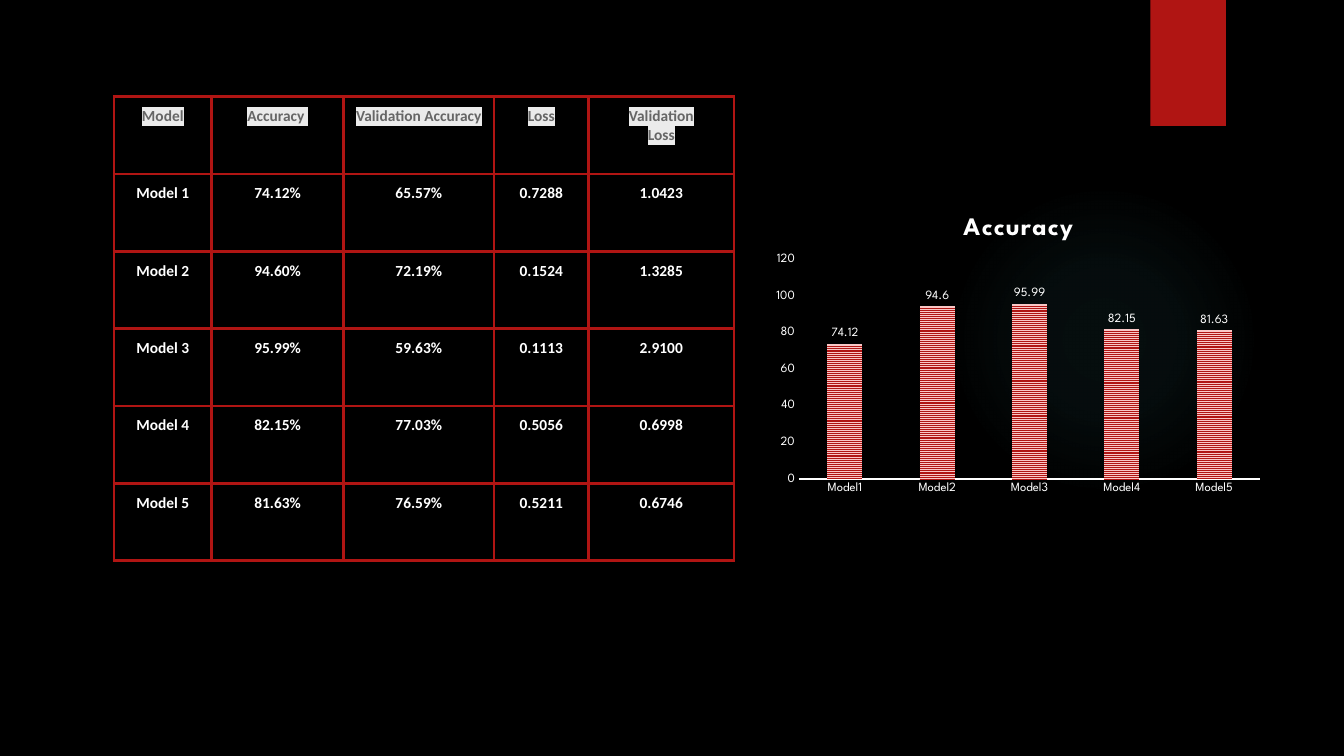
from lxml.etree import SubElement, fromstring
from pptx import Presentation
from pptx.chart.data import CategoryChartData
from pptx.dml.color import RGBColor
from pptx.enum.chart import XL_CHART_TYPE as ChartType, XL_LABEL_POSITION as LabelPosition
from pptx.enum.chart import XL_TICK_MARK as TickMark
from pptx.enum.dml import MSO_PATTERN as Pattern
from pptx.enum.shapes import MSO_SHAPE as Shape
from pptx.enum.text import PP_ALIGN as Align
from pptx.oxml.ns import nsdecls, qn
from pptx.util import Inches, Pt

HEADINGS = ["Model", "Accuracy ", "Validation Accuracy", "Loss", "Validation\nLoss"]
RESULTS = [
    ("Model 1", "74.12%", "65.57%", "0.7288", "1.0423"),
    ("Model 2", "94.60%", "72.19%", "0.1524", "1.3285"),
    ("Model 3", "95.99%", "59.63%", "0.1113", "2.9100"),
    ("Model 4", "82.15%", "77.03%", "0.5056", "0.6998"),
    ("Model 5", "81.63%", "76.59%", "0.5211", "0.6746"),
]
CHART_TITLE = "Accuracy"
COLUMN_WIDTHS = [0.97, 1.31, 1.49, 0.94, 1.44]
ROW_HEIGHT = 0.767
GLOW_STOPS = [(0, 7), (36, 6), (69, 0)]

BLACK = RGBColor(0x00, 0x00, 0x00)
WHITE = RGBColor(0xFF, 0xFF, 0xFF)
RED = RGBColor(0xB0, 0x15, 0x13)
PINK = RGBColor(0xF9, 0xC7, 0xC6)
TEAL = RGBColor(0x50, 0xB9, 0xC1)
GREY = RGBColor(0x66, 0x66, 0x66)
PALE = RGBColor(0xEB, 0xEB, 0xEB)
TABLE_FONT = "Calibri"
CHART_FONT = "League Spartan"


def style(font, name, size, color, bold=False):
    font.name, font.size, font.bold = name, Pt(size), bold
    font.color.rgb = color


def add_plain(slide, kind, left, top, width, height):
    plain = slide.shapes.add_shape(kind, *map(Inches, (left, top, width, height)))
    plain.shadow.inherit = False
    plain.line.fill.background()
    return plain


def add_glow(slide):
    glow = add_plain(slide, Shape.OVAL, 9.41, 1.83, 3.08, 3.08)
    glow.fill.background()
    stops = "".join(
        f'<a:gs pos="{place * 1000}"><a:srgbClr val="{TEAL}">'
        f'<a:alpha val="{alpha * 1000}"/></a:srgbClr></a:gs>'
        for place, alpha in GLOW_STOPS)
    gradient = fromstring(
        f'<a:gradFill {nsdecls("a")}><a:gsLst>{stops}</a:gsLst><a:path path="circle">'
        '<a:fillToRect l="50000" t="50000" r="50000" b="50000"/></a:path></a:gradFill>')
    properties = glow.element.spPr
    properties.replace(properties.find(qn("a:noFill")), gradient)


def add_borders(cell):
    properties = cell._tc.get_or_add_tcPr()
    for index, side in enumerate("LRTB"):
        properties.insert(index, fromstring(
            f'<a:ln{side} {nsdecls("a")} w="{Pt(2.25)}"><a:solidFill>'
            f'<a:srgbClr val="{RED}"/></a:solidFill></a:ln{side}>'))


def highlight(run):
    mark = SubElement(run._r.get_or_add_rPr(), qn("a:highlight"))
    SubElement(mark, qn("a:srgbClr"), val=str(PALE))
    run._r.rPr.find(qn("a:solidFill")).addnext(mark)


def fill_cell(cell, text, heading):
    cell.fill.background()
    add_borders(cell)
    cell.margin_left = cell.margin_right = cell.margin_top = cell.margin_bottom = Inches(0.1)
    frame = cell.text_frame
    for index, line in enumerate(text.split("\n")):
        paragraph = frame.add_paragraph() if index else frame.paragraphs[0]
        paragraph.alignment = Align.CENTER
        run = paragraph.add_run()
        run.text = line
        style(run.font, TABLE_FONT, 11, GREY if heading else WHITE, True)
        if heading:
            highlight(run)


def add_results(slide):
    rows = [HEADINGS, *RESULTS]
    results = slide.shapes.add_table(
        len(rows), len(HEADINGS), Inches(1.13), Inches(0.96),
        Inches(sum(COLUMN_WIDTHS)), Inches(ROW_HEIGHT * len(rows))).table
    results.first_row = results.horz_banding = False
    for column, width in zip(results.columns, COLUMN_WIDTHS):
        column.width = Inches(width)
    for r, row in enumerate(rows):
        results.rows[r].height = Inches(ROW_HEIGHT)
        for c, text in enumerate(row):
            fill_cell(results.cell(r, c), text, r == 0)


def add_accuracy_chart(slide):
    data = CategoryChartData()
    data.categories = [row[0].replace(" ", "") for row in RESULTS]
    data.add_series(CHART_TITLE, [float(row[1].rstrip("%")) for row in RESULTS])
    chart = slide.shapes.add_chart(
        ChartType.COLUMN_CLUSTERED, *map(Inches, (7.6, 1.97, 5, 3)), data).chart
    style(chart.font, CHART_FONT, 10, WHITE)
    chart.has_legend = False
    chart.has_title = True
    title = chart.chart_title.text_frame.paragraphs[0].add_run()
    title.text = CHART_TITLE
    style(title.font, CHART_FONT, 18, WHITE, True)
    title._r.get_or_add_rPr().set("spc", "100")

    for axis in (chart.category_axis, chart.value_axis):
        axis.major_tick_mark = axis.minor_tick_mark = TickMark.NONE
        axis.has_major_gridlines = False
        style(axis.tick_labels.font, CHART_FONT, 9, WHITE)
    chart.category_axis.format.line.color.rgb = WHITE
    chart.category_axis.format.line.width = Pt(1.5)
    chart.value_axis.format.line.fill.background()

    plot = chart.plots[0]
    plot.vary_by_categories = False
    plot.gap_width, plot.overlap = 164, -22
    bars = plot.series[0]
    bars.format.fill.patterned()
    bars.format.fill.pattern = Pattern.NARROW_HORIZONTAL
    bars.format.fill.fore_color.rgb = RED
    bars.format.fill.back_color.rgb = PINK
    labels = bars.data_labels
    labels.show_value = True
    labels.position = LabelPosition.OUTSIDE_END
    style(labels.font, CHART_FONT, 9, WHITE)


def main():
    deck = Presentation()
    deck.slide_width, deck.slide_height = Inches(13.33), Inches(7.5)
    slide = deck.slides.add_slide(deck.slide_layouts[6])
    slide.background.fill.solid()
    slide.background.fill.fore_color.rgb = BLACK
    add_glow(slide)
    ribbon = add_plain(slide, Shape.RECTANGLE, 11.41, 0, 0.75, 1.25)
    ribbon.fill.solid()
    ribbon.fill.fore_color.rgb = RED
    add_results(slide)
    add_accuracy_chart(slide)
    deck.save("out.pptx")


if __name__ == "__main__":
    main()
